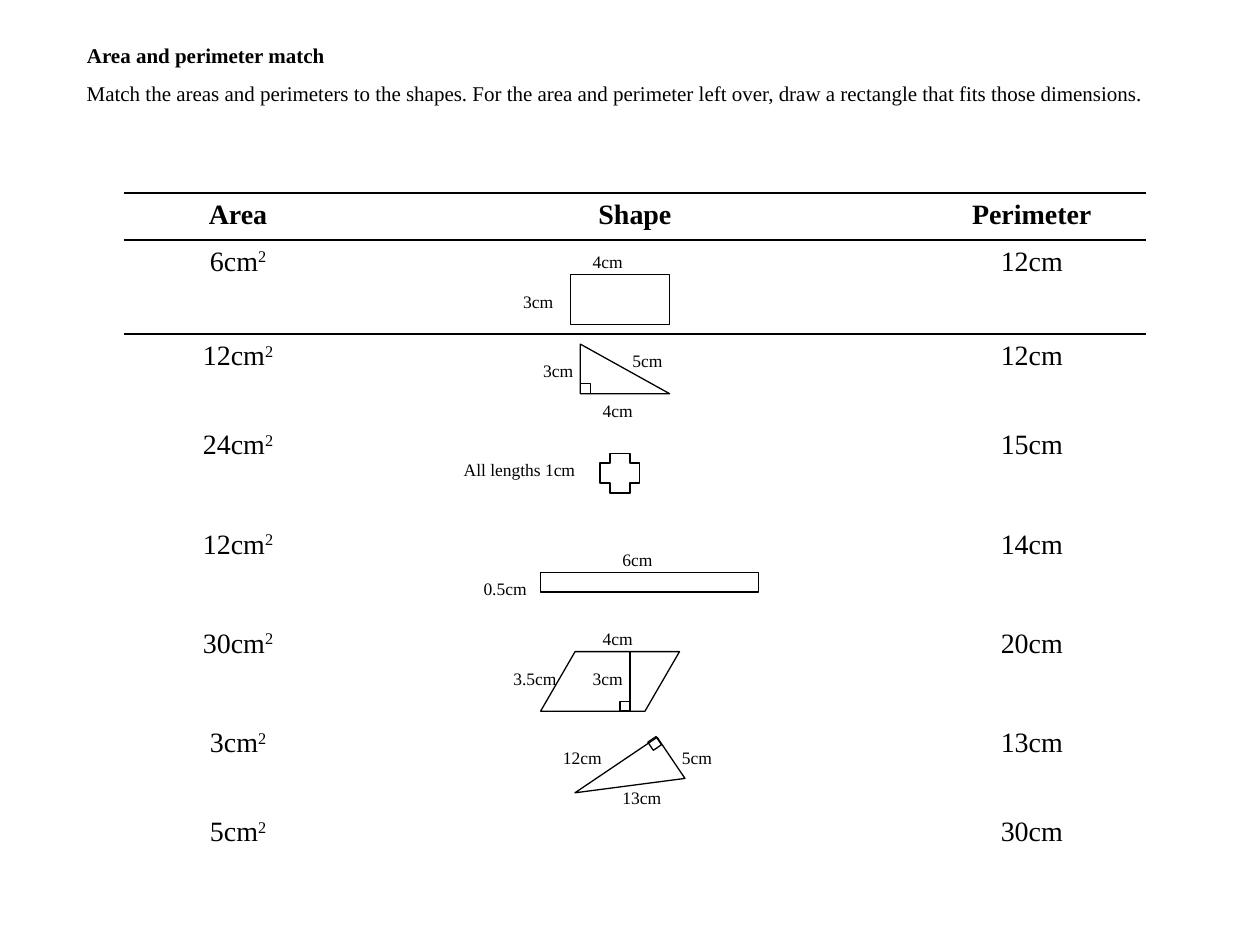
from dataclasses import dataclass
from typing import Optional

from lxml.etree import SubElement
from pptx import Presentation
from pptx.dml.color import RGBColor
from pptx.enum.shapes import MSO_CONNECTOR, MSO_SHAPE
from pptx.enum.text import MSO_ANCHOR, MSO_AUTO_SIZE, PP_ALIGN
from pptx.oxml import parse_xml
from pptx.oxml.ns import nsdecls, qn
from pptx.util import Emu, Inches, Mm, Pt

INK = RGBColor(0x00, 0x00, 0x00)
FONT = "Times New Roman"
STEP = Mm(2)
LEFT, TOP = Inches(0.59), Inches(0.29)
LABEL_ROWS = 3.4
PLAIN_TABLE = "{2D5ABB26-0587-4C30-8999-92F81FD0307C}"


@dataclass
class Figure:
    preset: MSO_SHAPE
    column: float
    row: float
    columns: float
    rows: float
    adjustment: Optional[float] = None
    rotation: float = 0


@dataclass
class Label:
    text: str
    column: float
    row: float
    columns: float = 6


HEADINGS = ["Area", "Shape", "Perimeter"]
AREAS = ["6cm", "12cm", "24cm", "12cm", "30cm", "3cm", "5cm"]
PERIMETERS = ["12cm", "12cm", "15cm", "14cm", "20cm", "13cm", "30cm"]
TABLE_COLUMNS = [23, 57, 23]
TABLE_ROWS = [4.75, 9.5, 9, 10, 10, 10, 9, 9]

FIGURES = [
    Figure(MSO_SHAPE.RECTANGLE, 50, 24, 10, 5),
    Figure(MSO_SHAPE.RIGHT_TRIANGLE, 51, 31, 9, 5),
    Figure(MSO_SHAPE.RECTANGLE, 51, 35, 1, 1),
    Figure(MSO_SHAPE.CROSS, 53, 42, 4, 4, adjustment=0.25),
    Figure(MSO_SHAPE.RECTANGLE, 47, 54, 22, 2),
    Figure(MSO_SHAPE.PARALLELOGRAM, 47, 62, 14, 6, adjustment=0.58),
    Figure(MSO_SHAPE.RECTANGLE, 55, 67, 1, 1),
]
TILTED_TRIANGLE = [
    Figure(MSO_SHAPE.RIGHT_TRIANGLE, 51, 73, 10, 5, rotation=146),
    Figure(MSO_SHAPE.RECTANGLE, 58, 70.75, 1, 1, rotation=326),
]
LABELS = [
    Label("3cm", 44, 25),
    Label("4cm", 51, 21, 7),
    Label("4cm", 52, 36),
    Label("5cm", 55, 31, 7),
    Label("3cm", 46, 32),
    Label("All lengths 1cm", 38, 42, 16),
    Label("0.5cm", 40, 54, 7),
    Label("6cm", 54, 51),
    Label("4cm", 52, 59),
    Label("3cm", 51, 63),
    Label("3.5cm", 43, 63, 7),
    Label("13cm", 54, 75, 8),
    Label("12cm", 48, 71, 8),
    Label("5cm", 60, 71),
]


def span(units: float) -> Emu:
    return Emu(round(STEP * units))


def grid_box(column: float, row: float, columns: float, rows: float) -> tuple:
    return LEFT + span(column), TOP + span(row), span(columns), span(rows)


def write(frame, text: str, size: float = 10, bold: bool = False,
          align: PP_ALIGN = PP_ALIGN.LEFT, superscript: str = "") -> None:
    frame.word_wrap = True
    paragraph = frame.paragraphs[0]
    paragraph.alignment = align
    paragraph.space_before = Pt(0)
    for part, baseline in ((text, None), (superscript, "30000")):
        if not part:
            continue
        run = paragraph.add_run()
        run.text = part
        run.font.name = FONT
        run.font.size = Pt(size)
        run.font.bold = bold
        run.font.color.rgb = INK
        if baseline:
            run.font._element.set("baseline", baseline)


def draw_figure(shapes, figure: Figure) -> None:
    outline = shapes.add_shape(figure.preset, *grid_box(
        figure.column, figure.row, figure.columns, figure.rows))
    outline.shadow.inherit = False
    outline.fill.background()
    outline.line.color.rgb = INK
    outline.line.width = Pt(0.75)
    outline.rotation = figure.rotation
    if figure.adjustment is not None:
        outline.adjustments[0] = figure.adjustment


def draw_label(shapes, label: Label) -> None:
    caption = shapes.add_textbox(*grid_box(
        label.column, label.row, label.columns, LABEL_ROWS))
    write(caption.text_frame, label.text)


def draw_height(shapes, column: float, top_row: float, bottom_row: float) -> None:
    x = LEFT + span(column)
    height = shapes.add_connector(
        MSO_CONNECTOR.STRAIGHT, x, TOP + span(top_row), x, TOP + span(bottom_row))
    height.line.color.rgb = INK
    height.line.width = Pt(0.75)
    SubElement(height._element.spPr, qn("a:effectLst"))


def rule_cell(cell, *sides: str) -> None:
    properties = cell._tc.get_or_add_tcPr()
    for position, side in enumerate(sides):
        properties.insert(position, parse_xml(
            f'<a:{side} {nsdecls("a")} w="{Pt(1.08)}"><a:solidFill>'
            f'<a:srgbClr val="{INK}"/></a:solidFill></a:{side}>'))


def draw_table(shapes) -> None:
    table = shapes.add_table(
        len(TABLE_ROWS), len(TABLE_COLUMNS),
        *grid_box(5, 15.75, sum(TABLE_COLUMNS), sum(TABLE_ROWS))).table
    table.first_row = table.horz_banding = False
    table._tbl.tblPr.find(qn("a:tableStyleId")).text = PLAIN_TABLE
    for column, units in zip(table.columns, TABLE_COLUMNS):
        column.width = span(units)
    for row, units in zip(table.rows, TABLE_ROWS):
        row.height = span(units)
    for cell in table.iter_cells():
        cell.fill.background()
    for index, heading in enumerate(HEADINGS):
        write(table.cell(0, index).text_frame, heading, size=16, bold=True,
              align=PP_ALIGN.CENTER)
        rule_cell(table.cell(0, index), "lnT", "lnB")
        rule_cell(table.cell(1, index), "lnT")
    for index, (area, perimeter) in enumerate(zip(AREAS, PERIMETERS), start=1):
        write(table.cell(index, 0).text_frame, area, size=16,
              align=PP_ALIGN.CENTER, superscript="2")
        write(table.cell(index, 2).text_frame, perimeter, size=16,
              align=PP_ALIGN.CENTER)


def main() -> None:
    deck = Presentation()
    deck.slide_width, deck.slide_height = Inches(10), Inches(7.5)
    slide = deck.slides.add_slide(deck.slide_layouts[5])
    shapes = slide.shapes

    heading = shapes.title
    heading.left, heading.top, heading.width, heading.height = grid_box(0, 0, 110, 3.8)
    heading.text_frame.vertical_anchor = MSO_ANCHOR.TOP
    heading.text_frame.auto_size = MSO_AUTO_SIZE.NONE
    write(heading.text_frame, "Area and perimeter match", size=12, bold=True)
    instruction = shapes.add_textbox(*grid_box(0, 3.8, 110, 3.8))
    write(instruction.text_frame,
          "Match the areas and perimeters to the shapes. For the area and perimeter "
          "left over, draw a rectangle that fits those dimensions.", size=12)

    draw_table(shapes)
    for figure in FIGURES:
        draw_figure(shapes, figure)
    draw_height(shapes, 56, 62, 68)
    tilted = shapes.add_group_shape()
    for figure in TILTED_TRIANGLE:
        draw_figure(tilted.shapes, figure)
    for label in LABELS:
        draw_label(shapes, label)

    deck.save("out.pptx")


if __name__ == "__main__":
    main()
